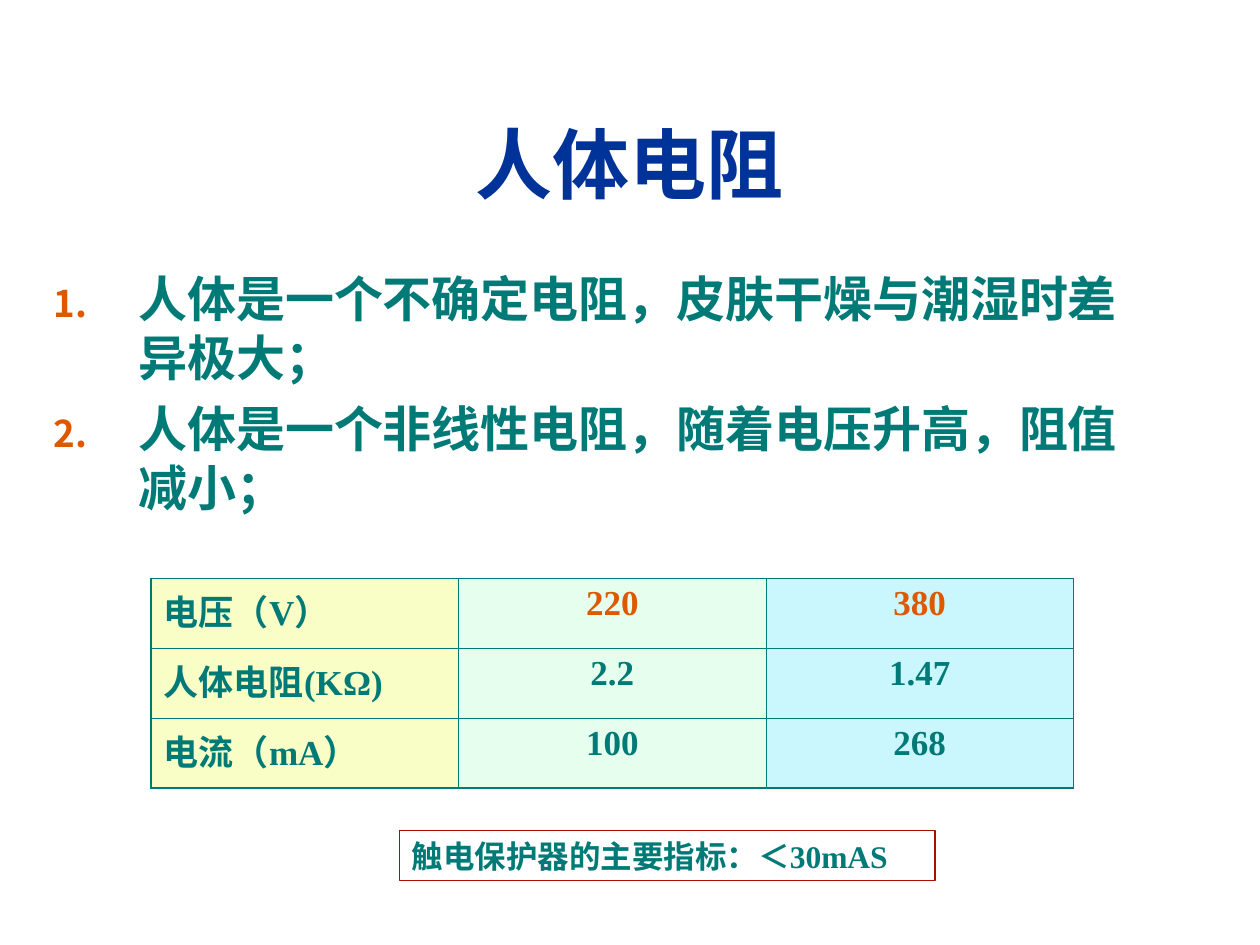
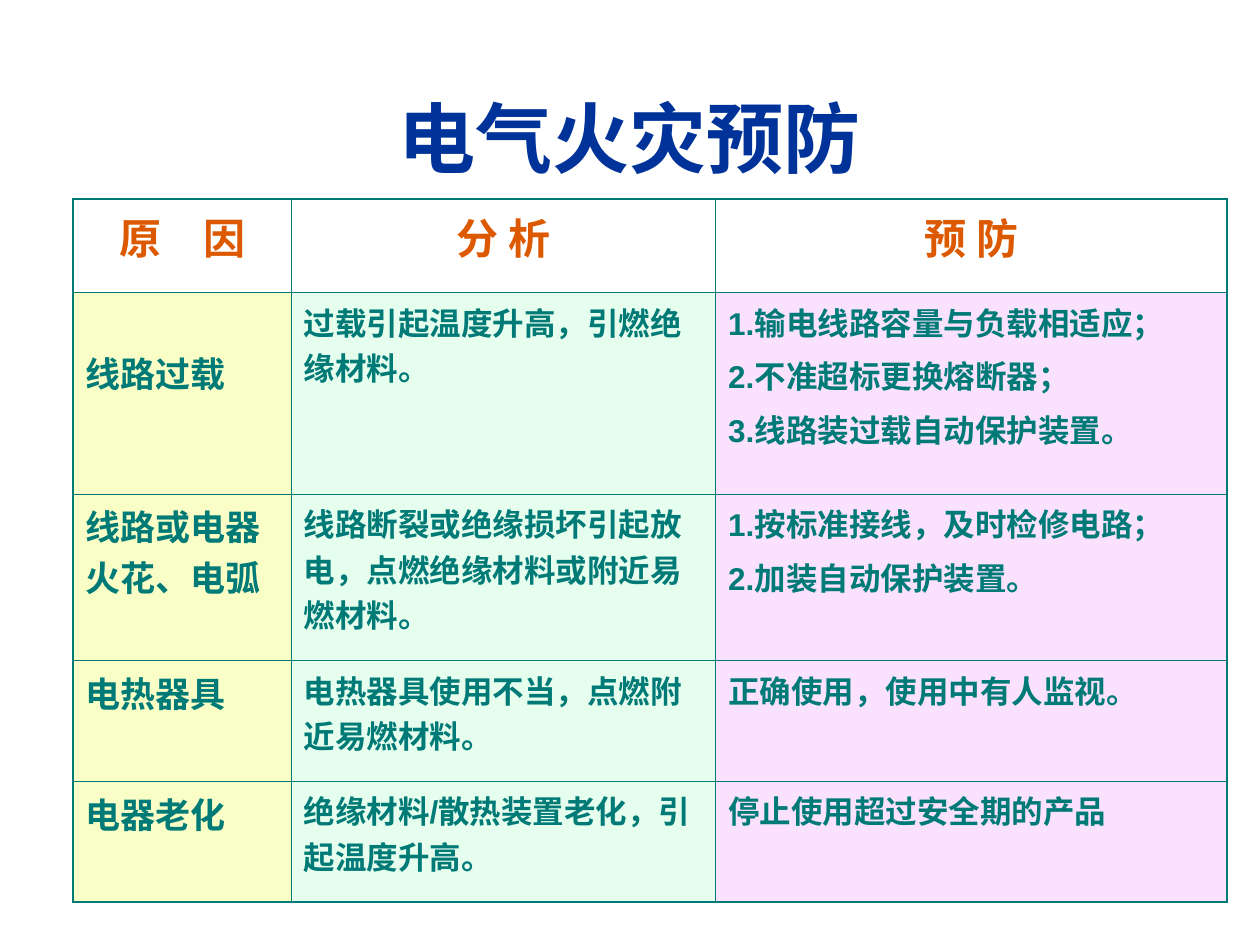
from pptx import Presentation
from pptx.dml.color import RGBColor
from pptx.enum.shapes import MSO_SHAPE
from pptx.enum.text import MSO_ANCHOR, PP_ALIGN
from pptx.oxml import parse_xml
from pptx.oxml.ns import nsdecls
from pptx.util import Inches, Pt

COLORS = {
    "title": "003399", "text": "007A77", "accent": "DC5900", "frame": "A60E02",
    "white": "FFFFFF", "yellow": "F9FEC6", "green": "E6FEED",
    "cyan": "CAF7FE", "pink": "FAE2FE",
}
RGB = {name: RGBColor.from_string(value) for name, value in COLORS.items()}

prs = Presentation()
prs.slide_width, prs.slide_height = Inches(10), Inches(7.5)


def write(tf, lines, size, font, color="text", align=PP_ALIGN.LEFT, gap=0):
    """Fill a text frame with bold paragraphs, spaced by gap points."""
    for i, line in enumerate(lines):
        p = tf.paragraphs[0] if i == 0 else tf.add_paragraph()
        p.text = line
        p.alignment = align
        p.space_before = Pt(gap if i else 0)
        p.font.size, p.font.name, p.font.bold = Pt(size), font, True
        p.font.color.rgb = RGB[color]


def add_grid(s, left, top, widths, heights, fills):
    """Add a table with coloured columns, thick outer and thin inner borders."""
    rows, cols = len(heights), len(widths)
    table = s.shapes.add_table(rows, cols, Inches(left), Inches(top),
                               Inches(sum(widths)), Inches(sum(heights))).table
    table.first_row = table.horz_banding = False
    for col, width in zip(table.columns, widths):
        col.width = Inches(width)
    for row, height in zip(table.rows, heights):
        row.height = Inches(height)
    for r in range(rows):
        for c in range(cols):
            cell = table.cell(r, c)
            outer = {"L": c == 0, "R": c == cols - 1, "T": r == 0, "B": r == rows - 1}
            tc_pr = cell._tc.get_or_add_tcPr()
            for side, thick in outer.items():
                tc_pr.append(parse_xml(
                    f'<a:ln{side} {nsdecls("a")} w="{Pt(1.08 if thick else 0.45)}"><a:solidFill>'
                    f'<a:srgbClr val="{COLORS["text"]}"/></a:solidFill></a:ln{side}>'))
            cell.fill.solid()
            cell.fill.fore_color.rgb = RGB[fills[c]]
    return table


# Slides and their titles
slides = []
for title, top, height in [("人体电阻", 0.67, 1.25), ("电气火灾预防", 0.25, 1.67)]:
    s = prs.slides.add_slide(prs.slide_layouts[5])
    sp = s.shapes.title
    sp.left, sp.top, sp.width, sp.height = map(Inches, (0.33, top, 9.34, height))
    sp.text_frame.vertical_anchor = MSO_ANCHOR.MIDDLE
    write(sp.text_frame, [title], 44, "Arial", "title", PP_ALIGN.CENTER)
    slides.append(s)
resistance, fire = slides

# Body resistance: numbered points
tf = resistance.shapes.add_textbox(Inches(0.33), Inches(2.08), Inches(8.84), Inches(2.42)).text_frame
tf.word_wrap = True
write(tf, ["人体是一个不确定电阻，皮肤干燥与潮湿时差异极大；",
           "人体是一个非线性电阻，随着电压升高，阻值减小；"], 28, "Times New Roman", gap=7)
for p in tf.paragraphs:
    pPr = p._p.get_or_add_pPr()
    pPr.set("marL", str(Inches(0.67)))
    pPr.set("indent", str(-Inches(0.67)))
    bullet = [f'<a:buClr {nsdecls("a")}><a:srgbClr val="{COLORS["accent"]}"/></a:buClr>',
              f'<a:buSzPct {nsdecls("a")} val="75000"/>',
              f'<a:buFont {nsdecls("a")} typeface="Lato"/>',
              f'<a:buAutoNum {nsdecls("a")} type="arabicPeriod"/>']
    for i, xml in enumerate(bullet):
        pPr.insert(1 + i, parse_xml(xml))  # after the paragraph spacing

# Body resistance: values by voltage
values = [("电压（V）", "220", "380"),
          ("人体电阻(KΩ)", "2.2", "1.47"),
          ("电流（mA）", "100", "268")]
table = add_grid(resistance, 1.2, 4.59, [2.44] * 3, [0.555] * 3, ["yellow", "green", "cyan"])
for r, row in enumerate(values):
    for c, text in enumerate(row):
        write(table.cell(r, c).text_frame, [text], 20, "Times New Roman",
              "accent" if r == 0 and c else "text",
              PP_ALIGN.CENTER if c else PP_ALIGN.LEFT)

# Body resistance: protector rating
sp = resistance.shapes.add_shape(MSO_SHAPE.RECTANGLE, Inches(3.17), Inches(6.59), Inches(4.25), Inches(0.4))
sp.shadow.inherit = False
sp.fill.solid()
sp.fill.fore_color.rgb = RGB["white"]
sp.line.color.rgb, sp.line.width = RGB["frame"], Pt(0.75)
tf = sp.text_frame
tf.vertical_anchor = MSO_ANCHOR.MIDDLE
write(tf, ["触电保护器的主要指标："], 18, "Lato")
r = tf.paragraphs[0].add_run()
r.text = "＜30mAS"
r.font.name = "Times New Roman"

# Fire prevention: header row and causes
header = ["原　因", "分 析", "预 防"]
causes = [
    ("线路过载", "过载引起温度升高，引燃绝缘材料。",
     ["1.输电线路容量与负载相适应；", "2.不准超标更换熔断器；", "3.线路装过载自动保护装置。"]),
    ("线路或电器火花、电弧", "线路断裂或绝缘损坏引起放电，点燃绝缘材料或附近易燃材料。",
     ["1.按标准接线，及时检修电路；", "2.加装自动保护装置。"]),
    ("电热器具", "电热器具使用不当，点燃附近易燃材料。", ["正确使用，使用中有人监视。"]),
    ("电器老化", "绝缘材料/散热装置老化，引起温度升高。", ["停止使用超过安全期的产品"]),
]
table = add_grid(fire, 0.58, 1.58, [1.73, 3.37, 4.06], [0.74, 1.6, 1.32, 0.96, 0.96],
                 ["yellow", "green", "pink"])
for c, text in enumerate(header):
    cell = table.cell(0, c)
    cell.fill.fore_color.rgb = RGB["white"]
    write(cell.text_frame, [text], 24, "Arial", "accent", PP_ALIGN.CENTER)
for r, (cause, analysis, measures) in enumerate(causes, 1):
    write(table.cell(r, 0).text_frame, [cause], 20, "Arial")
    write(table.cell(r, 1).text_frame, [analysis], 18, "Arial")
    write(table.cell(r, 2).text_frame, measures, 18, "Arial", gap=4.5)
table.cell(1, 0).margin_top = Inches(0.43)

prs.save("out.pptx")
